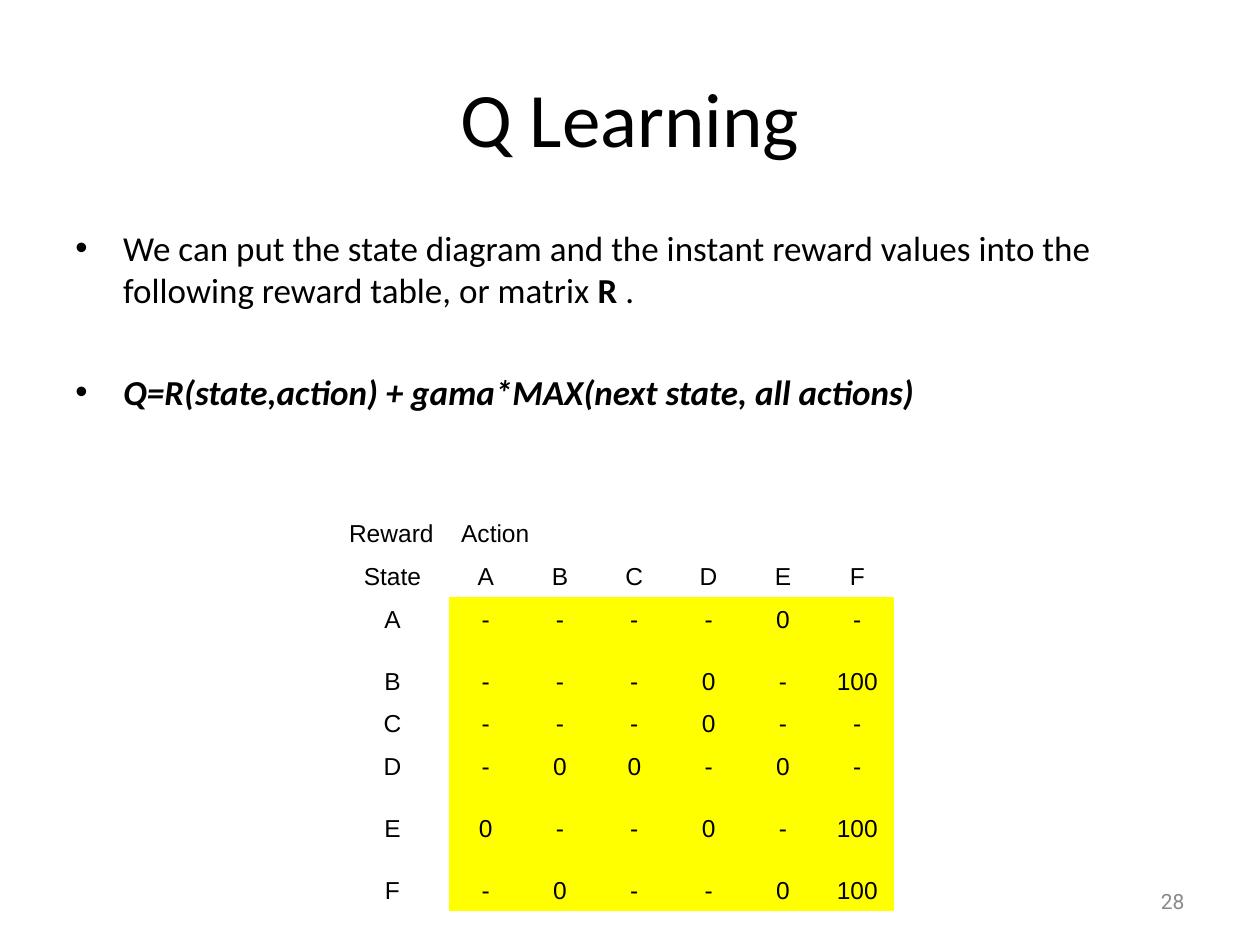
"""Build the Q Learning slide with its reward table."""
from lxml.etree import SubElement
from pptx import Presentation
from pptx.dml.color import RGBColor
from pptx.enum.text import MSO_ANCHOR, PP_ALIGN
from pptx.oxml.ns import qn
from pptx.util import Inches, Pt

BLACK = RGBColor(0, 0, 0)
GRAY = RGBColor(0x89, 0x89, 0x89)
YELLOW = RGBColor(0xFF, 0xFF, 0)
PLAIN = "{2D5ABB26-0587-4C30-8999-92F81FD0307C}"

TITLE = "Q Learning"
NUMBER = "28"
INTRO = [
    ("We can put the state diagram and the instant reward values into the "
     "following reward table, or matrix ", False),
    ("R ", True),
    (".", False),
]
RULE = "Q=R(state,action) + gama*MAX(next state, all actions)"
GRID = [
    ["Reward", "Action", "", "", "", "", ""],
    ["State", "A", "B", "C", "D", "E", "F"],
    ["A", "-", "-", "-", "-", "0", "-"],
    ["B", "-", "-", "-", "0", "-", "100"],
    ["C", "-", "-", "-", "0", "-", "-"],
    ["D", "-", "0", "0", "-", "0", "-"],
    ["E", "0", "-", "-", "0", "-", "100"],
    ["F", "-", "0", "-", "-", "0", "100"],
]
WIDTHS = [0.89] + [0.59] * 6
HEIGHTS = [0.57, 0.34, 0.34, 0.49, 0.34, 0.34, 0.49, 0.49]


def style(para, name, size, color=BLACK, align=PP_ALIGN.LEFT):
    para.alignment = align
    para.font.name = name
    para.font.size = Pt(size)
    para.font.color.rgb = color


def add_box(slide, area, anchor=MSO_ANCHOR.MIDDLE):
    frame = slide.shapes.add_textbox(*map(Inches, area)).text_frame
    frame.word_wrap = True
    frame.vertical_anchor = anchor
    return frame


def add_bullet(para):
    props = para._p.get_or_add_pPr()
    props.set("marL", str(Inches(0.38)))
    props.set("indent", str(-Inches(0.38)))
    SubElement(props, qn("a:buFont"), typeface="Arial")
    SubElement(props, qn("a:buChar"), char="•")
    style(para, "Calibri", 20)


def add_body(slide):
    frame = add_box(slide, (0.5, 1.75, 9, 4.95), MSO_ANCHOR.TOP)
    intro = frame.paragraphs[0]
    add_bullet(intro)
    for text, bold in INTRO:
        run = intro.add_run()
        run.text = text
        run.font.bold = bold
    rule = frame.add_paragraph()
    rule.text = RULE
    add_bullet(rule)
    rule.space_before = Pt(34)
    rule.font.bold = rule.font.italic = True


def add_rewards(slide):
    area = (2.67, 3.83, sum(WIDTHS), sum(HEIGHTS))
    table = slide.shapes.add_table(
        len(GRID), len(WIDTHS), *map(Inches, area)).table
    table.first_row = table.horz_banding = False
    table._tbl.tblPr.find(qn("a:tableStyleId")).text = PLAIN
    for col, width in zip(table.columns, WIDTHS):
        col.width = Inches(width)
    for row, height in zip(table.rows, HEIGHTS):
        row.height = Inches(height)
    table.cell(0, 1).merge(table.cell(0, 2))
    for r, line in enumerate(GRID):
        for c, text in enumerate(line):
            cell = table.cell(r, c)
            cell.vertical_anchor = MSO_ANCHOR.BOTTOM
            if r > 1 and c > 0:
                cell.fill.solid()
                cell.fill.fore_color.rgb = YELLOW
            else:
                cell.fill.background()
            cell.text = text
            align = PP_ALIGN.CENTER if r else PP_ALIGN.LEFT
            style(cell.text_frame.paragraphs[0], "Arial", 14, align=align)


def main():
    deck = Presentation()
    deck.slide_width, deck.slide_height = Inches(10), Inches(7.5)
    slide = deck.slides.add_slide(deck.slide_layouts[6])
    title = add_box(slide, (0.5, 0.3, 9, 1.25))
    title.text = TITLE
    style(title.paragraphs[0], "Calibri", 44, align=PP_ALIGN.CENTER)
    add_body(slide)
    number = add_box(slide, (7.17, 6.95, 2.33, 0.4))
    number.text = NUMBER
    style(number.paragraphs[0], "Roboto", 12, GRAY, PP_ALIGN.RIGHT)
    add_rewards(slide)
    deck.save("out.pptx")


if __name__ == "__main__":
    main()
